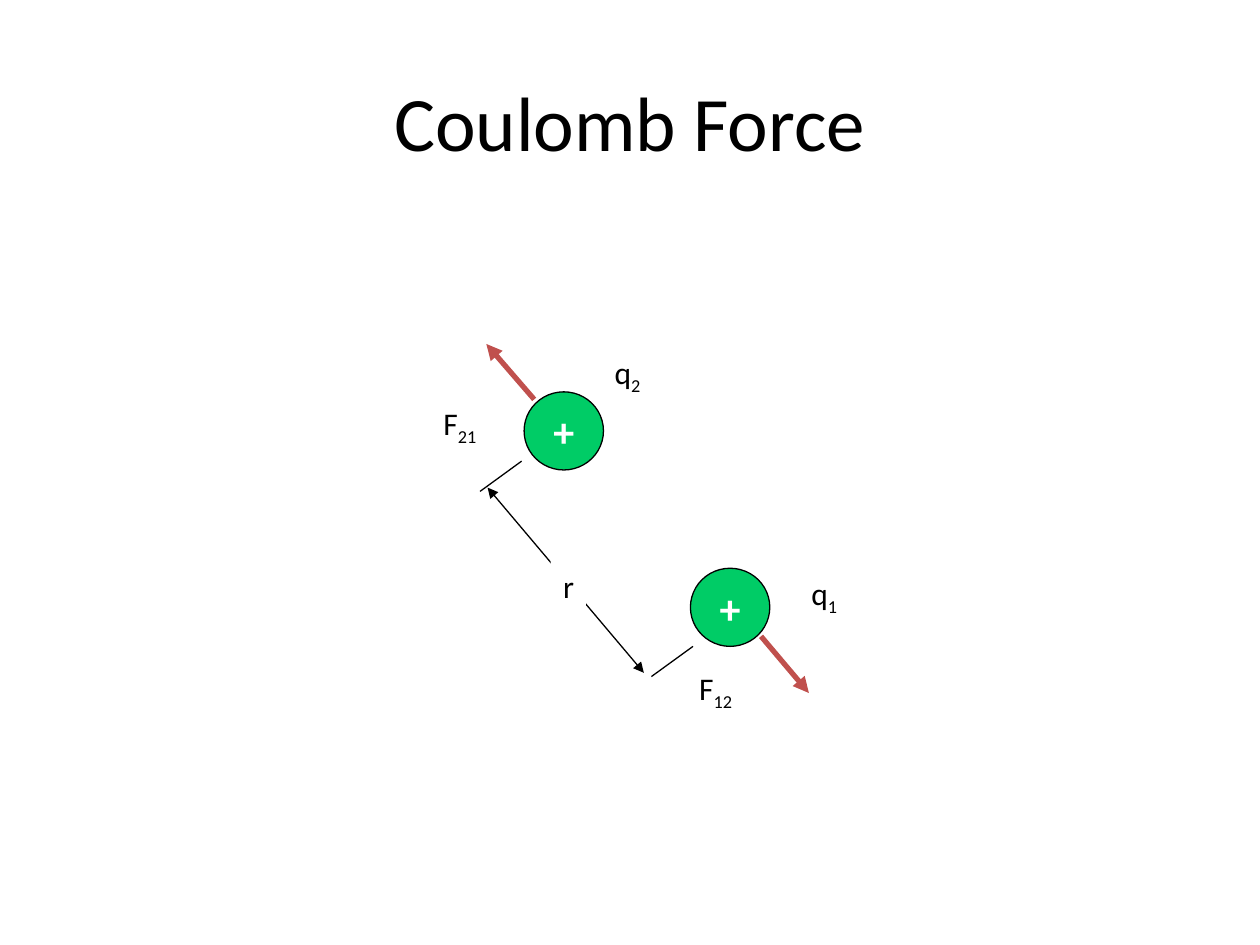
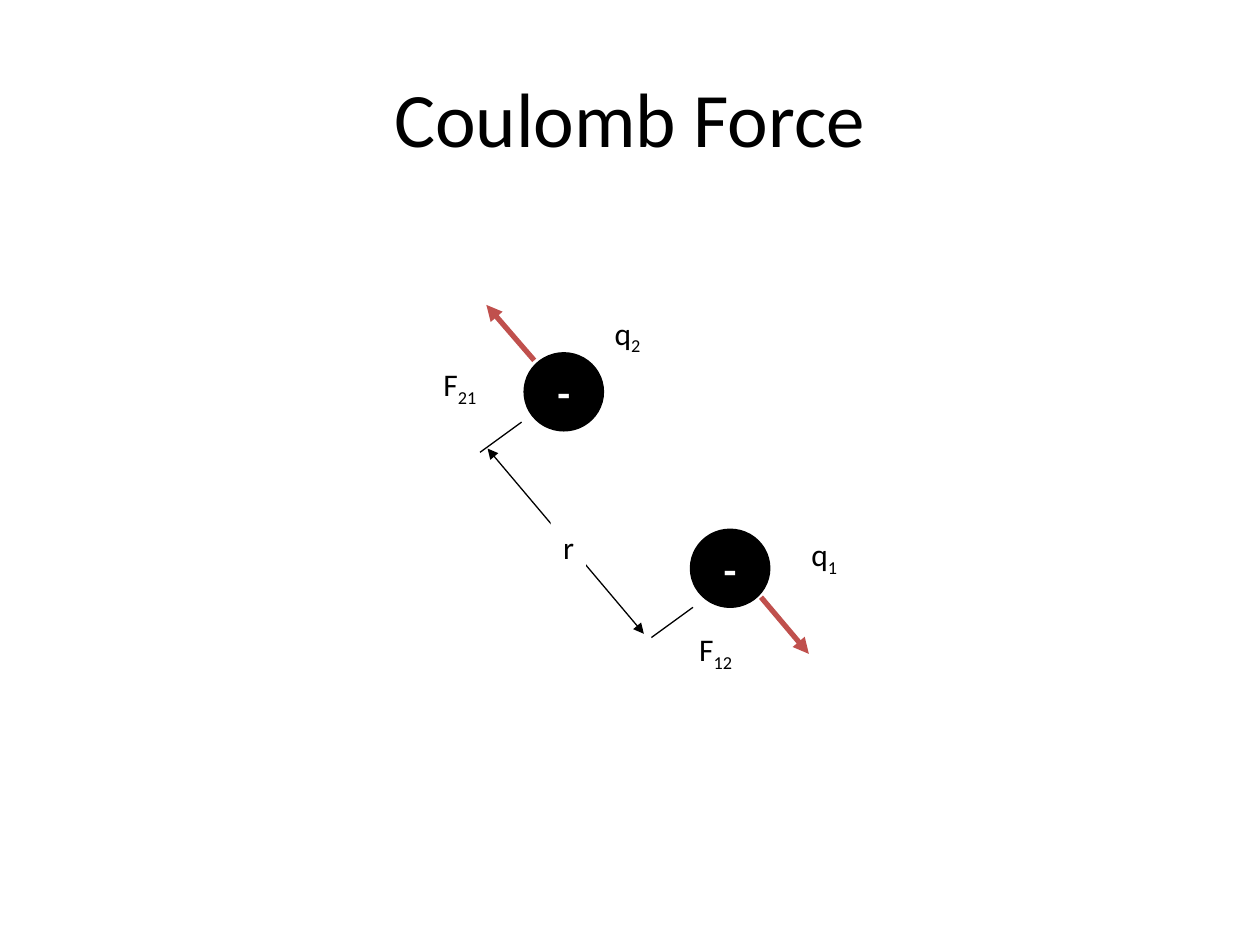
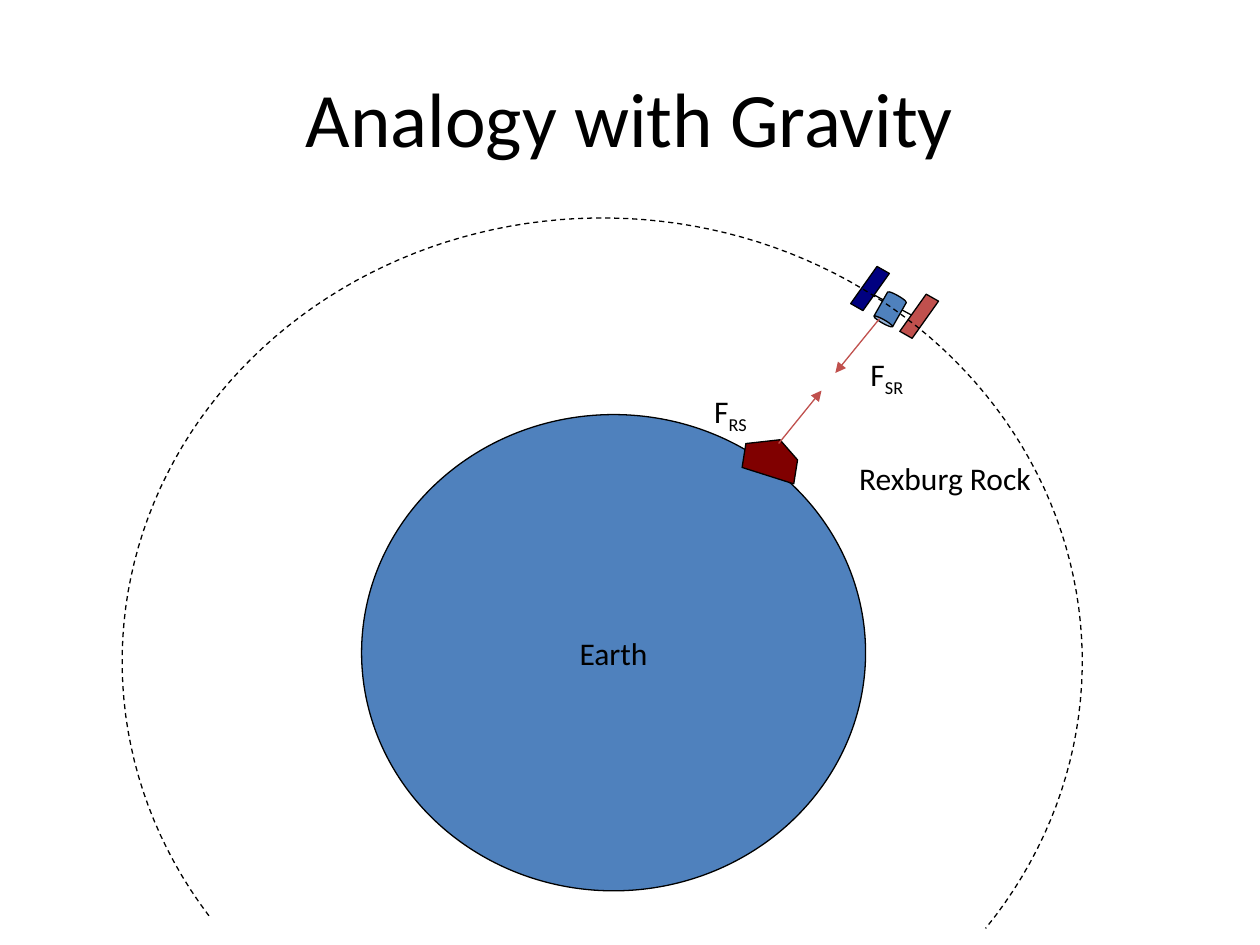
from dataclasses import dataclass
from math import cos, radians, sin
from typing import Optional

from lxml.etree import SubElement
from pptx import Presentation
from pptx.dml.color import RGBColor
from pptx.enum.dml import MSO_LINE
from pptx.enum.shapes import MSO_CONNECTOR, MSO_SHAPE
from pptx.enum.text import MSO_ANCHOR, MSO_AUTO_SIZE, PP_ALIGN
from pptx.oxml.ns import qn
from pptx.util import Inches, Pt

COLORS = {
    "ink": "000000", "paper": "FFFFFF", "positive": "00CC66", "negative": "000000",
    "force": "C0504D", "earth": "4F81BD", "navy": "000080", "rock": "800000",
}
BODY = {"name": "Calibri", "size": Pt(18)}
TITLE = {"name": "Calibri", "size": Pt(44)}
SIGN = {"name": "Calibri", "size": Pt(24), "bold": True}
SUBSCRIPT = "-25000"
THIN, THICK = 0.75, 3
TILT = 29.5  # degrees the satellite leans


@dataclass(frozen=True)
class Label:
    x: float
    y: float
    width: float
    text: str
    sub: str = ""
    wrap: bool = True
    fill: Optional[str] = None


@dataclass(frozen=True)
class Segment:
    x1: float
    y1: float
    x2: float
    y2: float
    color: str = "ink"
    weight: float = THIN
    head: bool = False
    tail: bool = False


@dataclass(frozen=True)
class Part:
    kind: MSO_SHAPE
    x: float
    y: float
    width: float
    height: float
    fill: str
    rotation: float = 0
    adjust: Optional[float] = None
    flip: bool = False


# Coulomb diagram, placed as on the first slide
CHARGES = [(5.48, 4.51), (4.16, 3.11)]
CHARGE_SIZE = (0.63, 0.62)
COULOMB_LINES = [
    Segment(4.24, 3.17, 3.86, 2.73, "force", THICK, tail=True),
    Segment(6.04, 5.05, 6.42, 5.5, "force", THICK, tail=True),
    Segment(4.14, 3.66, 3.81, 3.9),
    Segment(5.5, 5.13, 5.17, 5.37),
    Segment(3.87, 3.87, 5.11, 5.34, head=True, tail=True),
]
COULOMB_LABELS = [
    Label(6.34, 4.51, 0.41, "q", "1"),
    Label(4.78, 2.75, 0.41, "q", "2"),
    Label(3.42, 3.16, 0.81, "F", "21"),
    Label(5.45, 5.26, 0.81, "F", "12"),
    Label(4.37, 4.45, 0.28, "r", wrap=False, fill="paper"),
]

# Gravity diagram
SATELLITE_BOOM = Segment(6.88, 2.31, 7.27, 2.52)
SATELLITE = [
    Part(MSO_SHAPE.CAN, 6.98, 2.33, 0.17, 0.25, "earth", TILT, 0.172, True),
    Part(MSO_SHAPE.PARALLELOGRAM, 7.22, 2.33, 0.15, 0.36, "force", TILT, 0.25),
    Part(MSO_SHAPE.PARALLELOGRAM, 6.83, 2.11, 0.15, 0.36, "navy", TILT, 0.25),
]
EARTH = Part(MSO_SHAPE.OVAL, 2.87, 3.29, 4, 3.78, "earth")
ORBIT_CENTER, ORBIT_RADII = (4.78, 5.25), (3.81, 3.52)
ORBIT_ANGLES = range(145, 398, 2)
ROCK = [(5.89, 3.71), (5.92, 3.52), (6.19, 3.49), (6.33, 3.65), (6.3, 3.84)]
GRAVITY_FORCES = [
    Segment(6.18, 3.52, 6.52, 3.1, "force", tail=True),
    Segment(6.63, 2.96, 6.98, 2.53, "force", head=True),
]
GRAVITY_LABELS = [
    Label(6.72, 3.59, 1.61, "Rexburg Rock", wrap=False),
    Label(5.57, 3.06, 0.55, "F", "RS"),
    Label(6.81, 2.77, 0.55, "F", "SR"),
]


def rgb(name: str) -> RGBColor:
    return RGBColor.from_string(COLORS[name])


def add_run(paragraph, text: str, style: dict, color: str = "ink"):
    run = paragraph.add_run()
    run.text = text
    for attribute, value in style.items():
        setattr(run.font, attribute, value)
    run.font.color.rgb = rgb(color)
    return run


def paint(shape, fill: Optional[str]) -> None:
    """Give a shape its fill, the thin outline and no shadow."""
    shape.shadow.inherit = False
    if fill:
        shape.fill.solid()
        shape.fill.fore_color.rgb = rgb(fill)
    else:
        shape.fill.background()
    shape.line.color.rgb = rgb("ink")
    shape.line.width = Pt(THIN)


def add_title(slide, text: str, top: float) -> None:
    frame = slide.shapes.add_textbox(
        Inches(0.5), Inches(top), Inches(9), Inches(1.25)).text_frame
    frame.word_wrap = True
    frame.vertical_anchor = MSO_ANCHOR.MIDDLE
    frame.paragraphs[0].alignment = PP_ALIGN.CENTER
    add_run(frame.paragraphs[0], text, TITLE)


def add_label(slide, label: Label, dy: float = 0) -> None:
    box = slide.shapes.add_textbox(
        Inches(label.x), Inches(label.y + dy), Inches(label.width), Inches(0.37))
    if label.fill:
        box.fill.solid()
        box.fill.fore_color.rgb = rgb(label.fill)
    frame = box.text_frame
    frame.word_wrap = label.wrap
    frame.auto_size = MSO_AUTO_SIZE.SHAPE_TO_FIT_TEXT
    add_run(frame.paragraphs[0], label.text, BODY)
    if label.sub:
        sub = add_run(frame.paragraphs[0], label.sub, BODY)
        sub.font._element.set("baseline", SUBSCRIPT)


def add_segment(slide, seg: Segment, dy: float = 0) -> None:
    line = slide.shapes.add_connector(
        MSO_CONNECTOR.STRAIGHT, Inches(seg.x1), Inches(seg.y1 + dy),
        Inches(seg.x2), Inches(seg.y2 + dy))
    line.line.color.rgb = rgb(seg.color)
    line.line.width = Pt(seg.weight)
    outline = line.line._get_or_add_ln()
    for tag, present in (("a:headEnd", seg.head), ("a:tailEnd", seg.tail)):
        if present:
            SubElement(outline, qn(tag), type="triangle")
    SubElement(line._element.spPr, qn("a:effectLst"))


def add_part(slide, part: Part):
    shape = slide.shapes.add_shape(
        part.kind, Inches(part.x), Inches(part.y),
        Inches(part.width), Inches(part.height))
    paint(shape, part.fill)
    shape.rotation = part.rotation
    if part.adjust is not None:
        shape.adjustments[0] = part.adjust
    if part.flip:
        shape._element.spPr.find(qn("a:xfrm")).set("flipV", "1")
    return shape


def add_disc(slide, part: Part, text: str, style: dict, color: str) -> None:
    frame = add_part(slide, part).text_frame
    frame.word_wrap = False
    frame.vertical_anchor = MSO_ANCHOR.MIDDLE
    frame.paragraphs[0].alignment = PP_ALIGN.CENTER
    add_run(frame.paragraphs[0], text, style, color)


def add_outline(slide, points: list, fill: Optional[str], close: bool):
    corners = [(Inches(x), Inches(y)) for x, y in points]
    builder = slide.shapes.build_freeform(*corners[0])
    builder.add_line_segments(corners[1:], close=close)
    shape = builder.convert_to_shape()
    paint(shape, fill)
    return shape


def coulomb_slide(slide, sign: str, fill: str, title_top: float, dy: float) -> None:
    add_title(slide, "Coulomb Force", title_top)
    for x, y in CHARGES:
        charge = Part(MSO_SHAPE.OVAL, x, y + dy, *CHARGE_SIZE, fill)
        add_disc(slide, charge, sign, SIGN, "paper")
    for segment in COULOMB_LINES:
        add_segment(slide, segment, dy)
    for label in COULOMB_LABELS:
        add_label(slide, label, dy)


def gravity_slide(slide) -> None:
    add_title(slide, "Analogy with Gravity", 0.3)
    add_segment(slide, SATELLITE_BOOM)
    for part in SATELLITE:
        add_part(slide, part)
    add_disc(slide, EARTH, "Earth", BODY, "ink")

    # Orbit, open below Earth
    (cx, cy), (rx, ry) = ORBIT_CENTER, ORBIT_RADII
    orbit_points = [(cx + rx * cos(radians(a)), cy + ry * sin(radians(a)))
                    for a in ORBIT_ANGLES]
    orbit = add_outline(slide, orbit_points, None, close=False)
    orbit.line.dash_style = MSO_LINE.DASH

    # Rock and the forces between it and the satellite
    add_outline(slide, ROCK, "rock", close=True)
    for force in GRAVITY_FORCES:
        add_segment(slide, force)
    for label in GRAVITY_LABELS:
        add_label(slide, label)


def main() -> None:
    deck = Presentation()
    deck.slide_width, deck.slide_height = Inches(10), Inches(7.5)
    blank = deck.slide_layouts[6]
    coulomb_slide(deck.slides.add_slide(blank), "+", "positive", 0.33, 0)
    coulomb_slide(deck.slides.add_slide(blank), "-", "negative", 0.3, -0.31)
    gravity_slide(deck.slides.add_slide(blank))
    deck.save("out.pptx")


if __name__ == "__main__":
    main()
